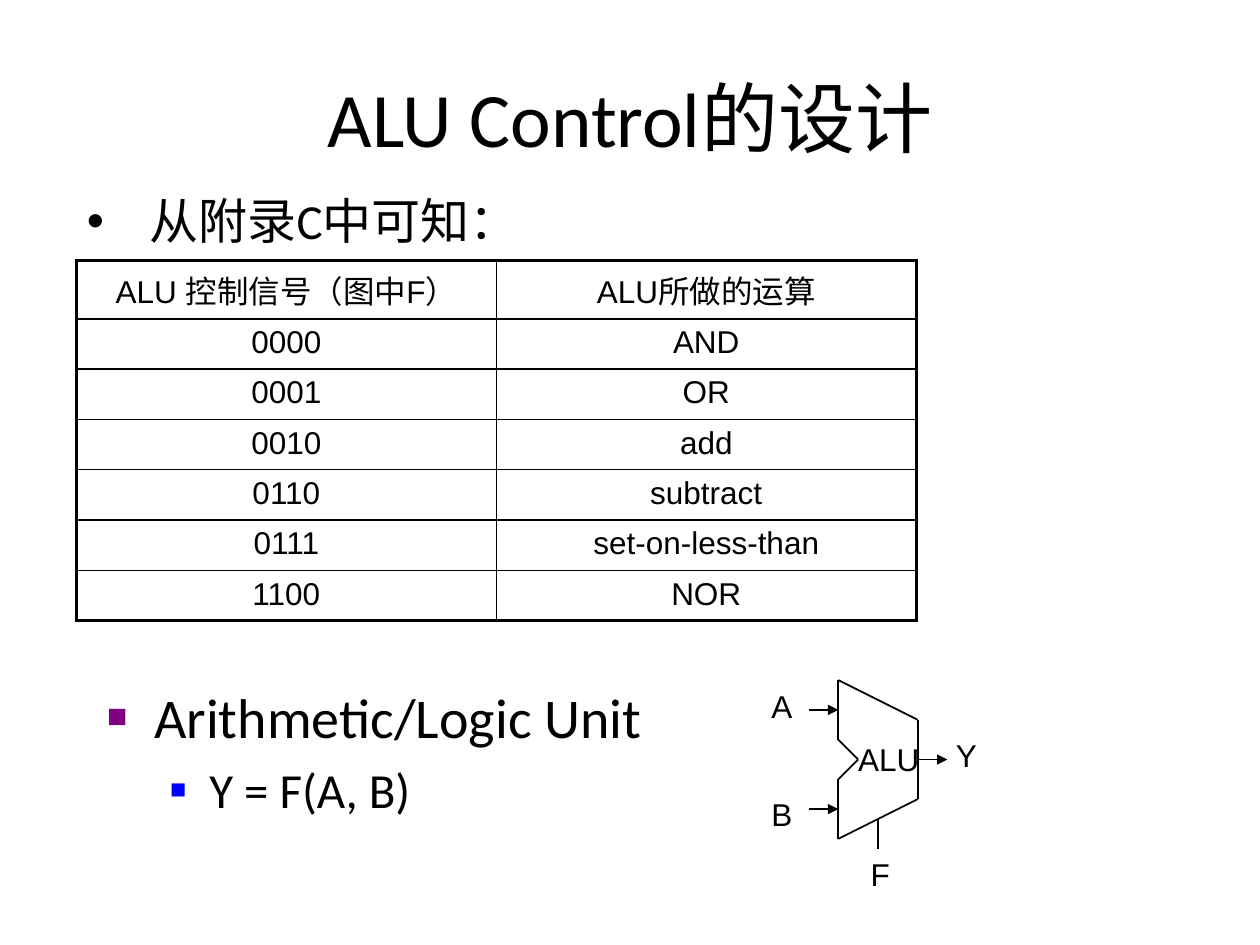
from dataclasses import dataclass
from itertools import pairwise

from lxml import etree
from pptx import Presentation, util as u
from pptx.dml.color import RGBColor
from pptx.enum import shapes, text
from pptx.oxml import ns


@dataclass(frozen=True)
class Theme:
    ink: str = "000000"
    purple: str = "800080"
    blue: str = "0000FF"
    heading_font: str = "Calibri"
    label_font: str = "Arial"
    title: int = 44
    large: int = 32
    body: int = 28
    label: int = 18
    thin: float = 1
    medium: float = 1.5
    thick: float = 2.25


def add(parent, tag, **attrs):
    return etree.SubElement(parent, ns.qn(tag), {k: str(v) for k, v in attrs.items()})


class Builder:
    def __init__(self, slide, theme):
        self.s = slide
        self.t = theme

    def run(self, p, content, size, font):
        r = p.add_run()
        r.text = content
        r.font.size = u.Pt(size)
        r.font.name = font
        r.font.color.rgb = RGBColor.from_string(self.t.ink)

    def title(self, content, left, top, width, height):
        sp = self.s.shapes.title
        sp.left, sp.top, sp.width, sp.height = map(u.Cm, (left, top, width, height))
        sp.text_frame.vertical_anchor = text.MSO_ANCHOR.MIDDLE
        p = sp.text_frame.paragraphs[0]
        p.alignment = text.PP_ALIGN.CENTER
        self.run(p, content, self.t.title, self.t.heading_font)

    def bullets(self, items, left, top, width, height):
        tf = self.s.shapes.add_textbox(*map(u.Cm, (left, top, width, height))).text_frame
        tf.word_wrap = True
        for i, (content, size, level, margin, hang, mark, colour, scale, before) in enumerate(items):
            p = tf.add_paragraph() if i else tf.paragraphs[0]
            p.level = level
            p.space_before = u.Pt(before)
            ppr = p._p.get_or_add_pPr()
            ppr.set("marL", str(u.Cm(margin)))
            ppr.set("indent", str(-u.Cm(hang)))
            add(add(ppr, "a:buClr"), "a:srgbClr", val=colour)
            add(ppr, "a:buSzPct", val=scale * 1000)
            add(ppr, "a:buFont", typeface=self.t.label_font)
            add(ppr, "a:buChar", char=mark)
            self.run(p, content, size, self.t.heading_font)

    def label(self, content, left, top, width, height, inset=True):
        tf = self.s.shapes.add_textbox(*map(u.Cm, (left, top, width, height))).text_frame
        tf.word_wrap = False
        if not inset:
            tf.margin_left = tf.margin_top = tf.margin_right = tf.margin_bottom = 0
        self.run(tf.paragraphs[0], content, self.t.label, self.t.label_font)

    def line(self, start, end, arrow=False):
        c = self.s.shapes.add_connector(
            shapes.MSO_CONNECTOR.STRAIGHT, *map(u.Cm, (*start, *end)))
        c.line.width = u.Pt(self.t.thin)
        c.line.color.rgb = RGBColor.from_string(self.t.ink)
        if arrow:
            add(c.line._get_or_add_ln(), "a:tailEnd", type="triangle")
        add(c._element.spPr, "a:effectLst")

    def borders(self, cell, widths):
        tcpr = cell._tc.get_or_add_tcPr()
        for side, width in zip("LRTB", widths):
            ln = add(tcpr, f"a:ln{side}", w=u.Pt(width))
            add(add(ln, "a:solidFill"), "a:srgbClr", val=self.t.ink)

    def table(self, rows, left, top, width, height):
        t = self.t
        n, m = len(rows), len(rows[0])
        tbl = self.s.shapes.add_table(n, m, *map(u.Cm, (left, top, width, height))).table
        tbl.first_row = tbl.horz_banding = False
        across = [t.thick] + [t.thin] * (m - 1) + [t.thick]
        down = [t.thick, t.medium] + [t.thin] * (n - 2) + [t.thick]
        for i, row in enumerate(rows):
            for j, content in enumerate(row):
                cell = tbl.cell(i, j)
                self.borders(cell, (across[j], across[j + 1], down[i], down[i + 1]))
                cell.fill.background()
                p = cell.text_frame.paragraphs[0]
                p.alignment = text.PP_ALIGN.CENTER
                self.run(p, content, t.label, t.label_font)


def draw_alu(b):
    left, top, unit = 16.9, 13.71, 0.4

    def at(x, y):
        return left + x * unit, top + y * unit

    corners = ((0, 0), (4, 2), (4, 6), (0, 8), (0, 5), (1, 4), (0, 3), (0, 0))
    for start, end in pairwise(corners):
        b.line(at(*start), at(*end))
    for x, y in ((-1.5, 1.5), (-1.5, 6.5), (4, 4)):
        b.line(at(x, y), at(x + 1.5, y), arrow=True)
    b.line(at(2, 7), at(2, 8.5))
    for name, x, y in (("A", 15.3, 13.72), ("B", 15.3, 15.9),
                       ("Y", 19.02, 14.71), ("F", 17.3, 17.12)):
        b.label(name, x, y, 0.92, 1.02)
    b.label("ALU", 17.3, 14.91, 1.24, 0.76, inset=False)


def main():
    prs = Presentation()
    prs.slide_width, prs.slide_height = u.Cm(25.4), u.Cm(19.05)
    t = Theme()
    b = Builder(prs.slides.add_slide(prs.slide_layouts[5]), t)
    b.title("ALU Control的设计", 1.27, 0.76, 22.86, 3.18)
    b.table([
        ("ALU 控制信号（图中F）", "ALU所做的运算"),
        ("0000", "AND"),
        ("0001", "OR"),
        ("0010", "add"),
        ("0110", "subtract"),
        ("0111", "set-on-less-than"),
        ("1100", "NOR"),
    ], 1.54, 5.25, 16.93, 7.11)
    b.bullets([("从附录C中可知：", t.body, 0, 1.27, 1.27, "•", t.ink, 100, 0)],
              1.5, 3.72, 23.19, 1.45)
    draw_alu(b)
    b.bullets([
        ("Arithmetic/Logic Unit", t.large, 0, 0.95, 0.95, "■", t.purple, 60, 6.4),
        ("Y = F(A, B)", t.body, 1, 2.06, 0.79, "■", t.blue, 55, 5.6),
    ], 1.91, 13.63, 11.99, 3.61)
    prs.save("out.pptx")


if __name__ == "__main__":
    main()
